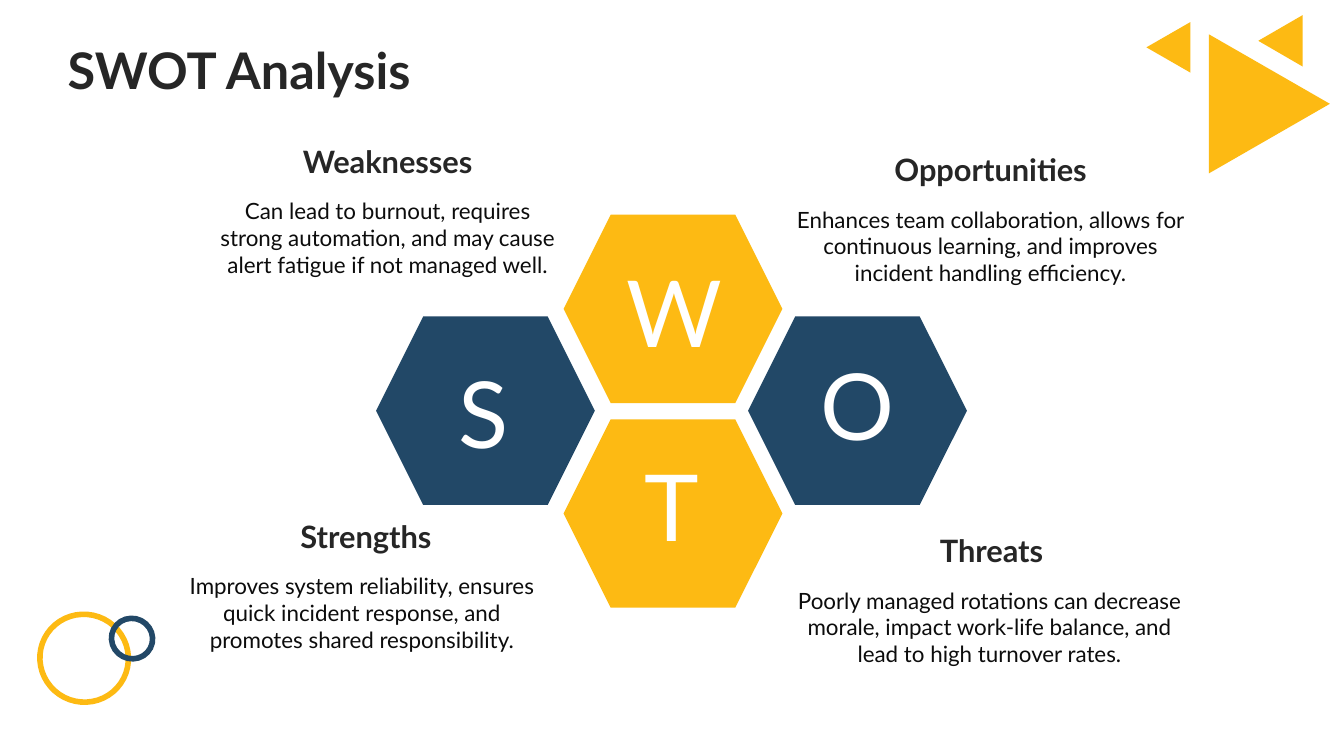
"""Build a SWOT analysis slide around four lettered hexagons."""
from dataclasses import dataclass
from typing import Any

from pptx import Presentation
from pptx.dml.color import RGBColor
from pptx.enum.shapes import MSO_SHAPE
from pptx.enum.text import MSO_ANCHOR, PP_ALIGN
from pptx.util import Inches, Pt

HEX, RING = MSO_SHAPE.HEXAGON, MSO_SHAPE.OVAL
TOP, MID = MSO_ANCHOR.TOP, MSO_ANCHOR.MIDDLE
LEFT, MID_TEXT = PP_ALIGN.LEFT, PP_ALIGN.CENTER
WIDE, HIGH = Inches(13.33), Inches(7.5)
COLS, ROWS = 133.3, 75


@dataclass(frozen=True)
class Theme:
    face: str = "Lato"
    navy: str = "224867"
    gold: str = "FDBA13"
    dark: str = "262626"
    ink: str = "0C0C0C"
    white: str = "FFFFFF"
    title: int = 36
    head: int = 22
    body: int = 16
    mark: int = 66
    ring: int = 4


@dataclass(frozen=True)
class Box:
    col: float
    row: float
    wide: float
    high: float

    def place(self) -> tuple[int, int, int, int]:
        return (across(self.col), down(self.row),
                across(self.wide), down(self.high))


@dataclass(frozen=True)
class Cell:
    col: float
    row: float
    color: str
    sign: str
    sign_col: float
    sign_row: float


@dataclass(frozen=True)
class Note:
    head: str
    body: str
    top: Box
    text: Box


@dataclass(frozen=True)
class Ring:
    box: Box
    color: str


@dataclass(frozen=True)
class Wedge:
    tip: float
    mid: float
    base: float
    half: float


THEME = Theme()
CELLS = [
    Cell(74.2, 31.4, THEME.navy, "O", 80.4, 35.8),
    Cell(55.9, 21.3, THEME.gold, "W", 62.1, 26.6),
    Cell(55.9, 41.6, THEME.gold, "T", 62, 45.9),
    Cell(37.3, 31.4, THEME.navy, "S", 43.3, 36.6),
]
NOTES = [
    Note("Strengths", "Improves system reliability, ensures quick incident "
         "response, and promotes shared responsibility.",
         Box(18.3, 51.6, 36, 3.2), Box(17.5, 56.8, 36.8, 9.8)),
    Note("Opportunities", "Enhances team collaboration, allows for continuous "
         "learning, and improves incident handling efficiency.",
         Box(78.9, 14.7, 38.7, 4.2), Box(78.9, 20.4, 38.7, 7.2)),
    Note("Weaknesses", "Can lead to burnout, requires strong automation, "
         "and may cause alert fatigue if not managed well.",
         Box(21.7, 13.9, 33.5, 4.2), Box(21.7, 19.6, 33.5, 7.2)),
    Note("Threats", "Poorly managed rotations can decrease morale, impact "
         "work-life balance, and lead to high turnover rates.",
         Box(79, 52.5, 38.7, 4.2), Box(79, 58.2, 38.3, 7.2)),
]
RINGS = [
    Ring(Box(4, 60.9, 8.7, 8.8), THEME.gold),
    Ring(Box(11.1, 61.3, 4, 4.1), THEME.navy),
]
WEDGES = [
    Wedge(131.9, 10.3, 119.9, 6.9),
    Wedge(124.8, 4.05, 129.2, 2.55),
    Wedge(113.7, 4.7, 118.05, 2.5),
]


def across(cols: float) -> int:
    return round(WIDE * cols / COLS)


def down(rows: float) -> int:
    return round(HIGH * rows / ROWS)


def apply(item: Any, form: dict[str, Any]) -> None:
    for name, value in form.items():
        setattr(item, name, value)


def paint(shape: Any, color: str) -> None:
    shape.shadow.inherit = False
    shape.fill.solid()
    shape.fill.fore_color.rgb = RGBColor.from_string(color)
    shape.line.fill.background()


def write(slide: Any, text: str, box: Box, size: int, color: str,
          bold: bool = False, anchor: Any = MID, align: Any = MID_TEXT) -> None:
    frame = slide.shapes.add_textbox(*box.place()).text_frame
    apply(frame, {"word_wrap": True, "vertical_anchor": anchor,
                  "margin_left": 0, "margin_right": 0,
                  "margin_top": 0, "margin_bottom": 0})
    line = frame.paragraphs[0]
    line.alignment = align
    run = line.add_run()
    run.text = text
    apply(run.font, {"name": THEME.face, "size": Pt(size), "bold": bold})
    run.font.color.rgb = RGBColor.from_string(color)


def draw_cell(slide: Any, cell: Cell) -> None:
    box = Box(cell.col, cell.row, 21.7, 18.7)
    paint(slide.shapes.add_shape(HEX, *box.place()), cell.color)


def draw_sign(slide: Any, cell: Cell) -> None:
    box = Box(cell.sign_col, cell.sign_row, 9.3, 8.4)
    write(slide, cell.sign, box, THEME.mark, THEME.white)


def draw_note(slide: Any, note: Note) -> None:
    write(slide, note.head, note.top, THEME.head, THEME.dark, bold=True)
    write(slide, note.body, note.text, THEME.body, THEME.ink, anchor=TOP)


def draw_ring(slide: Any, ring: Ring) -> None:
    shape = slide.shapes.add_shape(RING, *ring.box.place())
    shape.shadow.inherit = False
    shape.rotation = 297
    shape.fill.background()
    shape.line.color.rgb = RGBColor.from_string(ring.color)
    shape.line.width = Pt(THEME.ring)


def draw_wedge(slide: Any, wedge: Wedge) -> None:
    pen = slide.shapes.build_freeform(across(wedge.tip), down(wedge.mid))
    base = across(wedge.base)
    pen.add_line_segments([(base, down(wedge.mid + wedge.half)),
                           (base, down(wedge.mid - wedge.half))])
    paint(pen.convert_to_shape(), THEME.gold)


def main() -> None:
    deck = Presentation()
    apply(deck, {"slide_width": WIDE, "slide_height": HIGH})
    slide = deck.slides.add_slide(deck.slide_layouts[6])
    for cell in CELLS:
        draw_cell(slide, cell)
    write(slide, "SWOT Analysis", Box(6.7, 3, 120, 7.8), THEME.title,
          THEME.dark, bold=True, align=LEFT)
    for ring in RINGS:
        draw_ring(slide, ring)
    for note in NOTES:
        draw_note(slide, note)
    for cell in CELLS:
        draw_sign(slide, cell)
    for wedge in WEDGES:
        draw_wedge(slide, wedge)
    deck.save("out.pptx")


if __name__ == "__main__":
    main()
